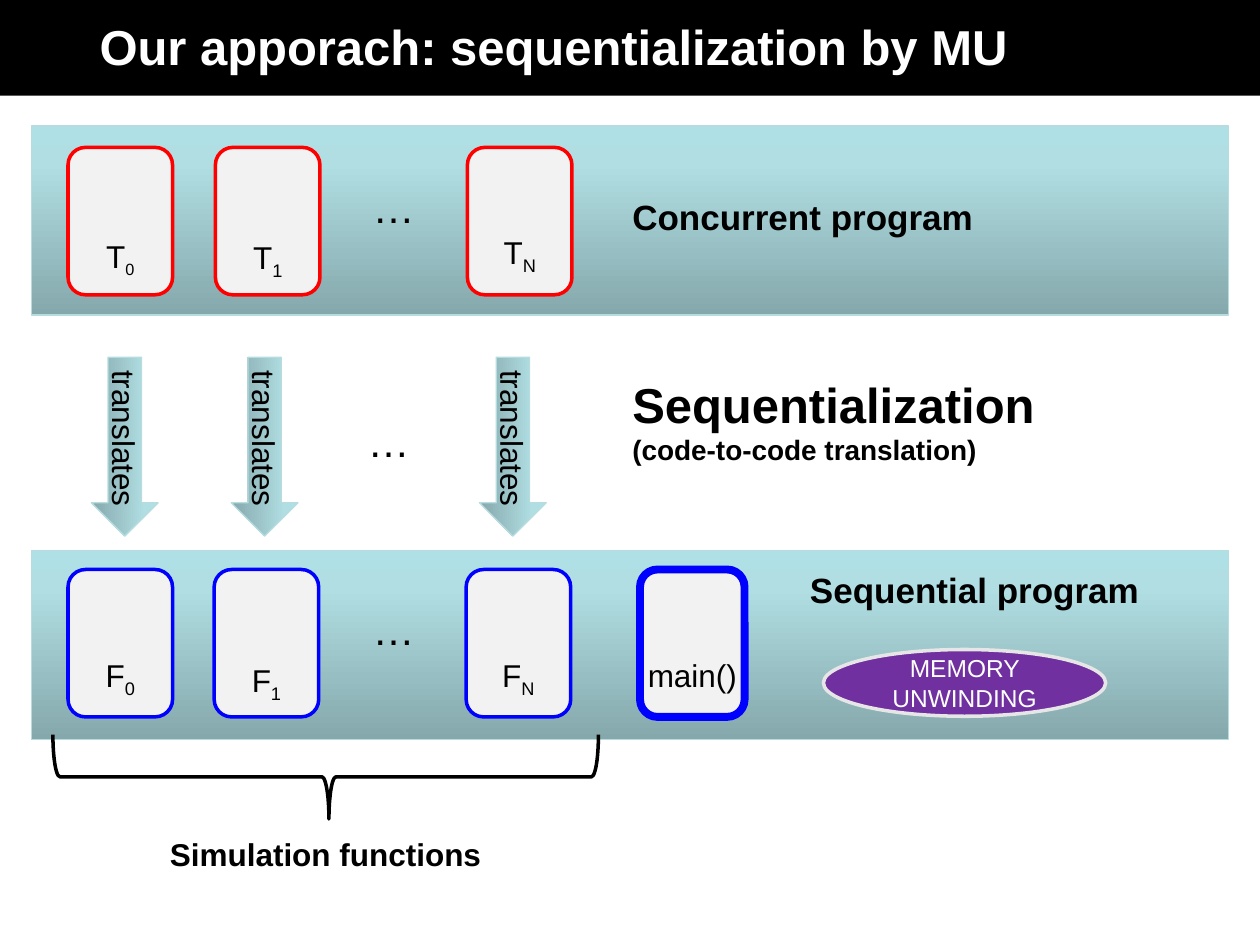
from dataclasses import dataclass
from typing import Optional

from lxml.etree import SubElement
from pptx import Presentation
from pptx.dml.color import RGBColor
from pptx.enum.shapes import MSO_SHAPE
from pptx.enum.text import MSO_ANCHOR, PP_ALIGN
from pptx.oxml.ns import qn
from pptx.util import Inches, Pt


@dataclass(frozen=True)
class Theme:
    font: str = "Arial"
    black: str = "000000"
    white: str = "FFFFFF"
    card: str = "F2F2F2"
    thread: str = "FF0000"
    function: str = "0000FF"
    memory: str = "7030A0"
    memory_edge: str = "E6E6E6"
    band_edge: str = "B6DCE0"
    gradient: tuple = ((0, "85A8AC"), (80, "B0DEE2"), (100, "AFE0E5"))
    title: float = 28
    dots: float = 24
    heading: float = 20
    body: float = 18
    small: float = 16
    badge: float = 14


@dataclass(frozen=True)
class Run:
    text: str
    size: float
    bold: bool = False
    color: str = Theme.black
    sub: bool = False


@dataclass(frozen=True)
class Box:
    x: float
    y: float
    w: float
    h: float


@dataclass(frozen=True)
class Card:
    x: float
    y: float
    edge: str
    name: str
    index: str
    label_y: float
    label_w: float = 0.67
    line: float = 2
    index_size: float = Theme.body


T = Theme()
CARD_W, CARD_H = 0.83, 1.17
THREAD_Y, FUNCTION_Y = 1.17, 4.52
CARDS = [
    Card(0.54, THREAD_Y, T.thread, "T", "0", 1.83, index_size=T.small),
    Card(1.71, THREAD_Y, T.thread, "T", "1", 1.84),
    Card(3.71, THREAD_Y, T.thread, "T", "N", 1.8),
    Card(0.54, FUNCTION_Y, T.function, "F", "0", 5.16),
    Card(1.7, FUNCTION_Y, T.function, "F", "1", 5.2),
    Card(3.7, FUNCTION_Y, T.function, "F", "N", 5.16),
    Card(5.08, FUNCTION_Y, T.function, "main()", "", 5.16, 0.92, 4.5),
]
DOTS = [(2.54, 1.39), (2.54, 4.74), (2.5, 3.25)]
ARROW_X = [0.28, 1.39, 3.36]


def write(sp, paragraphs: list[list[Run]], align=PP_ALIGN.LEFT,
          anchor=MSO_ANCHOR.TOP, insets=(0.1, 0.05, 0.1, 0.05)) -> None:
    tf = sp.text_frame
    tf.word_wrap = True
    tf.vertical_anchor = anchor
    tf.margin_left, tf.margin_top, tf.margin_right, tf.margin_bottom = map(Inches, insets)
    for i, runs in enumerate(paragraphs):
        p = tf.add_paragraph() if i else tf.paragraphs[0]
        p.alignment = align
        for run in runs:
            r = p.add_run()
            r.text = run.text
            r.font.name = T.font
            r.font.size = Pt(run.size)
            r.font.bold = run.bold
            r.font.color.rgb = RGBColor.from_string(run.color)
            if run.sub:
                r.font._element.set("baseline", "-25000")


def add_text(s, box: Box, paragraphs: list[list[Run]], align=PP_ALIGN.LEFT) -> None:
    sp = s.shapes.add_textbox(*map(Inches, (box.x, box.y, box.w, box.h)))
    write(sp, paragraphs, align)


def add_shape(s, kind, box: Box, fill: Optional[str] = None, edge: Optional[str] = None,
              line: float = 2, rotation: float = 0, adjust: tuple = ()):
    sp = s.shapes.add_shape(kind, *map(Inches, (box.x, box.y, box.w, box.h)))
    sp.shadow.inherit = False
    sp.rotation = rotation
    for i, value in enumerate(adjust):
        sp.adjustments[i] = value
    if fill:
        sp.fill.solid()
        sp.fill.fore_color.rgb = RGBColor.from_string(fill)
    else:
        sp.fill.background()
    if edge:
        sp.line.color.rgb = RGBColor.from_string(edge)
        sp.line.width = Pt(line)
    else:
        sp.line.fill.background()
    return sp


def add_gradient_shape(s, kind, box: Box, rotation: float = 0):
    sp = add_shape(s, kind, box, None, T.band_edge, 0.75, rotation)
    sp.fill.gradient()
    grad = sp._element.spPr.find(qn("a:gradFill"))
    stops = grad.find(qn("a:gsLst"))
    for stop in list(stops):
        stops.remove(stop)
    for position, color in T.gradient:
        stop = SubElement(stops, qn("a:gs"), pos=str(position * 1000))
        SubElement(stop, qn("a:srgbClr"), val=color)
    grad.find(qn("a:lin")).set("ang", str(270 * 60000))
    return sp


def add_card(s, card: Card) -> None:
    add_shape(s, MSO_SHAPE.ROUNDED_RECTANGLE, Box(card.x, card.y, CARD_W, CARD_H),
              T.card, card.edge, card.line, adjust=(0.167,))
    runs = [Run(card.name, T.body)]
    if card.index:
        runs.append(Run(card.index, card.index_size, sub=True))
    label_x = card.x + (CARD_W - card.label_w) / 2
    add_text(s, Box(label_x, card.label_y, card.label_w, 0.4), [runs], PP_ALIGN.CENTER)


def main() -> None:
    prs = Presentation()
    prs.slide_width, prs.slide_height = Inches(10), Inches(7.5)
    s = prs.slides.add_slide(prs.slide_layouts[6])

    for y in (4.37, 1):
        add_gradient_shape(s, MSO_SHAPE.RECTANGLE, Box(0.25, y, 9.5, 1.5))

    title = add_shape(s, MSO_SHAPE.RECTANGLE, Box(0, -0.03, 10, 0.79), T.black)
    write(title, [[Run("Our apporach: sequentialization by MU", T.title, True, T.white)]],
          anchor=MSO_ANCHOR.MIDDLE, insets=(0.79, 0.1, 0.1, 0.1))

    for card in CARDS:
        add_card(s, card)
    for x, y in DOTS:
        add_text(s, Box(x, y, 1.17, 0.5), [[Run("…", T.dots)]], PP_ALIGN.CENTER)

    add_text(s, Box(4.92, 1.5, 4.83, 0.44), [[Run("Concurrent program", T.heading, True)]])
    add_text(s, Box(6.33, 4.46, 3.42, 0.44), [[Run("Sequential program", T.heading, True)]])
    add_text(s, Box(4.92, 2.92, 4.83, 0.84),
             [[Run("Sequentialization", T.title, True)],
              [Run("(code-to-code translation)", T.small, True)]])
    add_text(s, Box(1.25, 6.58, 4.41, 0.4), [[Run("Simulation functions", T.body, True)]])

    add_shape(s, MSO_SHAPE.LEFT_BRACE, Box(2.25, 4, 0.67, 4.33), None, T.black,
              rotation=270, adjust=(0.083, 0.506))

    for x in ARROW_X:
        arrow = add_gradient_shape(s, MSO_SHAPE.RIGHT_ARROW, Box(x, 3.28, 1.42, 0.53), 90)
        write(arrow, [[Run("translates", T.body)]], PP_ALIGN.CENTER, MSO_ANCHOR.MIDDLE)

    badge = add_shape(s, MSO_SHAPE.OVAL, Box(7.39, 4.3, 0.53, 2.24), T.memory,
                      T.memory_edge, rotation=90)
    write(badge, [[Run("MEMORY UNWINDING", T.badge, color=T.white)]],
          PP_ALIGN.CENTER, MSO_ANCHOR.MIDDLE, (0, 0, 0, 0))
    badge.text_frame._txBody.bodyPr.set("vert", "vert270")

    prs.save("out.pptx")


if __name__ == "__main__":
    main()
